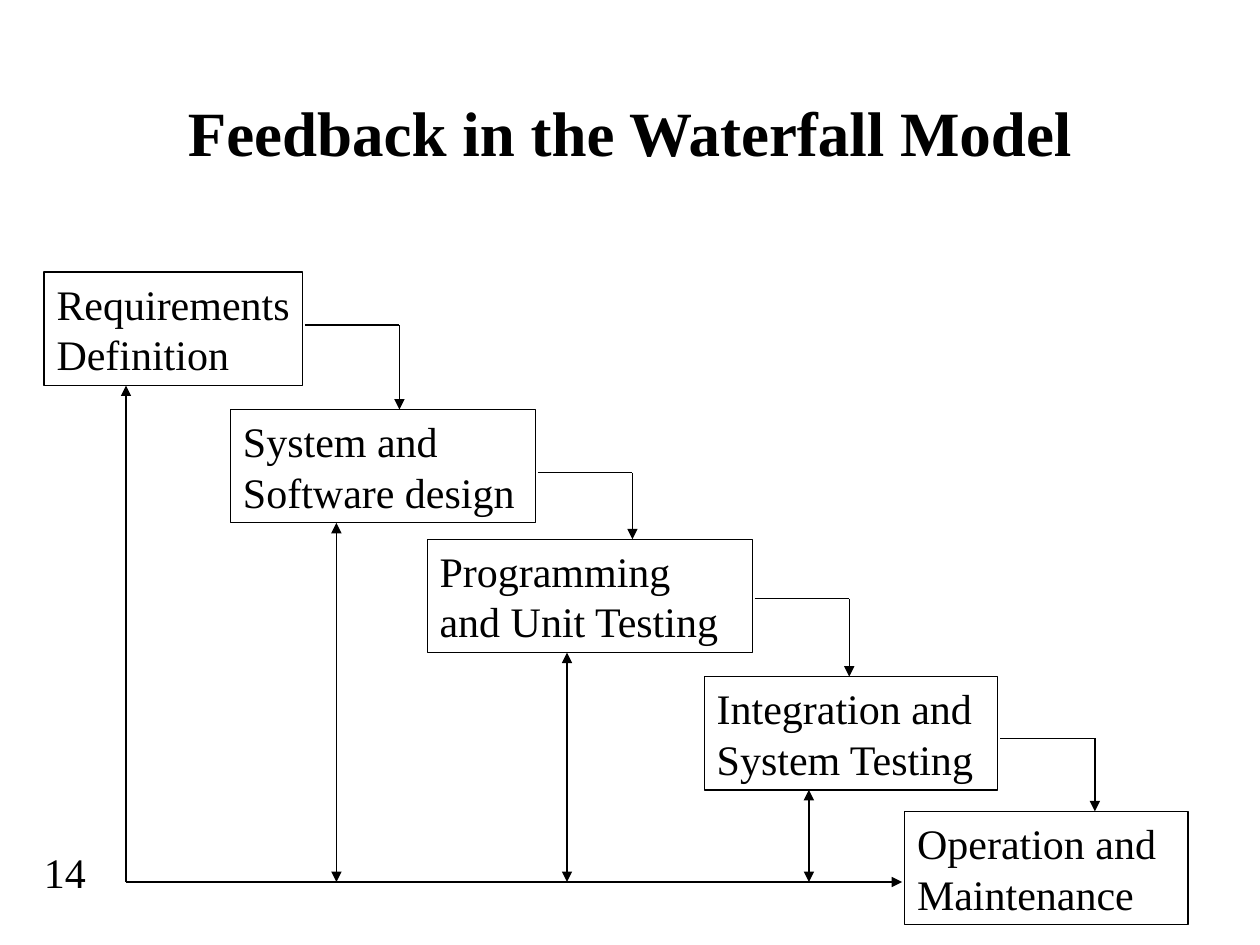
import itertools
from collections import namedtuple

import pptx
import pptx.dml.color
import pptx.enum.shapes
import pptx.enum.text
import pptx.oxml
import pptx.oxml.ns
import pptx.util

BLACK = pptx.dml.color.RGBColor(0x00, 0x00, 0x00)
FONT = "Times New Roman"
BODY_SIZE = pptx.util.Pt(24)
LINE_WIDTH = pptx.util.Pt(0.75)
SLIDE_WIDTH = pptx.util.Inches(10)
SLIDE_HEIGHT = pptx.util.Inches(7.5)
COLUMN = SLIDE_WIDTH / 10
ROW = SLIDE_HEIGHT / 7.5

Box = namedtuple("Box", "left top width height")
Stage = namedtuple("Stage", "label left top width exit_row feedback_column")

STAGE_HEIGHT = 0.9
STEP_LENGTH = 0.75
GAP = 0.02
FEEDBACK_ROW = 4.84
STAGES = [
    Stage("Requirements\nDefinition", 0, 0, 2.05, 0.42, 0.65),
    Stage("System and\nSoftware design", 1.48, 1.09, 2.42, 0.5, 2.32),
    Stage("Programming\nand Unit Testing", 3.04, 2.12, 2.58, 0.47, 4.15),
    Stage("Integration and\nSystem Testing", 5.24, 3.21, 2.33, 0.49, 6.07),
    Stage("Operation and\nMaintenance", 6.83, 4.28, 2.25, None, None),
]


def emu(box):
    """Turn a box in columns and rows into slide lengths."""
    return (round(box.left * COLUMN), round(box.top * ROW),
            round(box.width * COLUMN), round(box.height * ROW))


def style_text(frame, size, align, bold=False):
    """Give every paragraph of a text frame the slide's lettering."""
    for paragraph in frame.paragraphs:
        paragraph.alignment = align
        paragraph.font.name = FONT
        paragraph.font.size = size
        paragraph.font.bold = bold
        paragraph.font.color.rgb = BLACK


def add_line(slide, start, end, head=False, tail=False):
    """Draw a thin line between two grid points, with optional arrowheads."""
    line = slide.shapes.add_connector(
        pptx.enum.shapes.MSO_CONNECTOR.STRAIGHT,
        round(start[0] * COLUMN), round(start[1] * ROW),
        round(end[0] * COLUMN), round(end[1] * ROW))
    line.line.color.rgb = BLACK
    line.line.width = LINE_WIDTH
    outline = line.line._get_or_add_ln()
    for tag, wanted in (("a:headEnd", head), ("a:tailEnd", tail)):
        if wanted:
            arrow = pptx.oxml.ns.qn(tag)
            outline.append(outline.makeelement(arrow, {"type": "triangle"}))
    effects = pptx.oxml.ns.qn("a:effectLst")
    outline.getparent().append(outline.makeelement(effects, {}))


def add_title(slide, box):
    """Place the heading in the title placeholder."""
    heading = slide.shapes.title
    heading.left, heading.top, heading.width, heading.height = emu(box)
    frame = heading.text_frame
    frame.text = "Feedback in the Waterfall Model"
    frame.vertical_anchor = pptx.enum.text.MSO_ANCHOR.MIDDLE
    style_text(frame, pptx.util.Pt(36), pptx.enum.text.PP_ALIGN.CENTER, True)


def add_page_number(slide, box):
    """Place the page number in the lower left corner."""
    frame = slide.shapes.add_textbox(*emu(box)).text_frame
    frame.word_wrap = True
    frame.text = "14"
    style_text(frame, BODY_SIZE, pptx.enum.text.PP_ALIGN.LEFT)


def add_stage(slide, label, box):
    """Draw one outlined stage of the waterfall."""
    stage = slide.shapes.add_shape(
        pptx.enum.shapes.MSO_SHAPE.RECTANGLE, *emu(box))
    stage.shadow.inherit = False
    stage.fill.background()
    stage.line.color.rgb = BLACK
    stage.line.width = LINE_WIDTH
    frame = stage.text_frame
    frame.text = label
    frame.word_wrap = label != STAGES[0].label
    frame.vertical_anchor = pptx.enum.text.MSO_ANCHOR.TOP
    style_text(frame, BODY_SIZE, pptx.enum.text.PP_ALIGN.LEFT)


def add_waterfall(slide, box):
    """Draw the stages, the steps down between them and the feedback lines."""
    for stage in STAGES:
        add_stage(slide, stage.label, Box(
            box.left + stage.left, box.top + stage.top,
            stage.width, STAGE_HEIGHT))

    for stage, following in itertools.pairwise(STAGES):
        start = box.left + stage.left + stage.width + GAP
        corner = (start + STEP_LENGTH, box.top + stage.top + stage.exit_row)
        add_line(slide, (start, corner[1]), corner)
        add_line(slide, corner, (corner[0], box.top + following.top), tail=True)

    base = box.top + FEEDBACK_ROW
    first, last = STAGES[0], STAGES[-1]
    add_line(slide, (box.left + last.left - GAP, base),
             (box.left + first.feedback_column, base), head=True)
    for stage in STAGES[:-1]:
        column = box.left + stage.feedback_column
        bottom = box.top + stage.top + STAGE_HEIGHT
        add_line(slide, (column, base), (column, bottom),
                 head=stage is not first, tail=True)


def main():
    """Build and save the slide."""
    deck = pptx.Presentation()
    deck.slide_width, deck.slide_height = SLIDE_WIDTH, SLIDE_HEIGHT
    slide = deck.slides.add_slide(deck.slide_layouts.get_by_name("Title Only"))
    add_page_number(slide, Box(0.25, 6.67, 1.08, 0.5))
    add_title(slide, Box(0.75, 0.42, 8.5, 1.25))
    add_waterfall(slide, Box(0.35, 2.16, 9.08, 5.18))
    deck.save("out.pptx")


if __name__ == "__main__":
    main()
